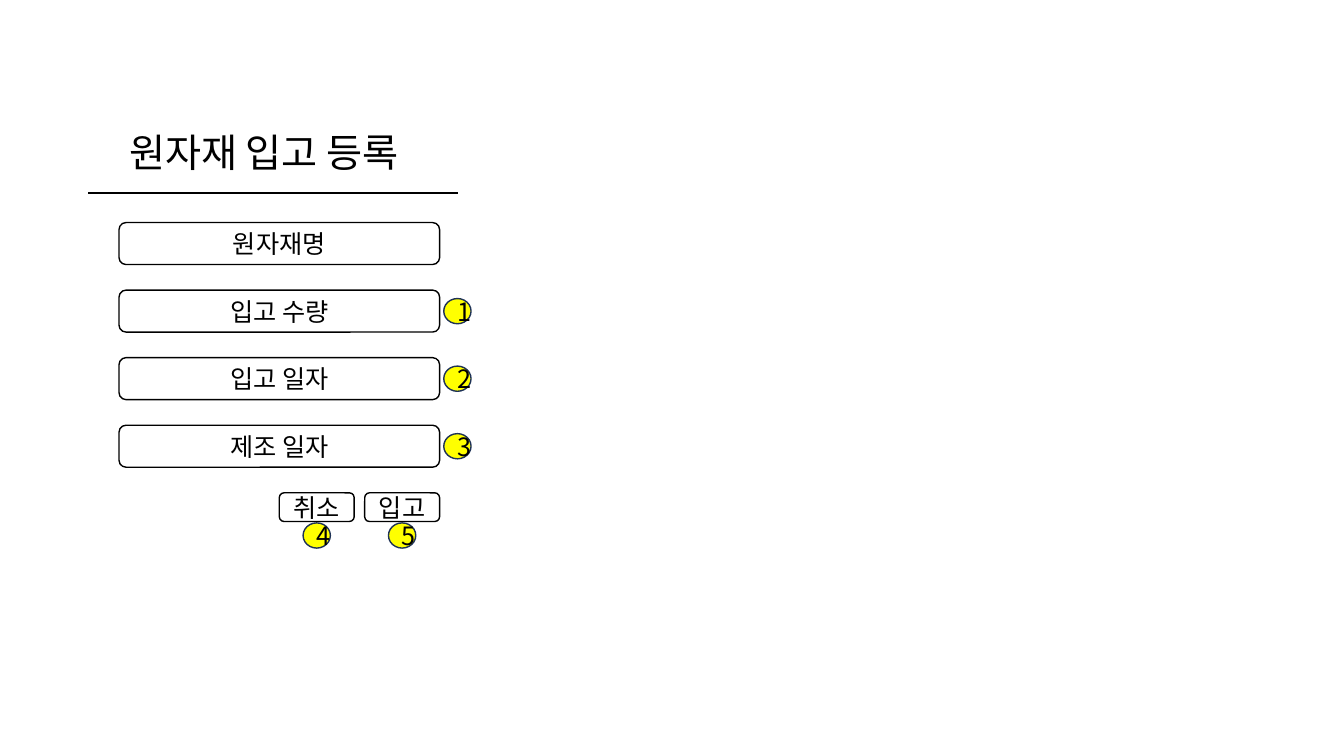
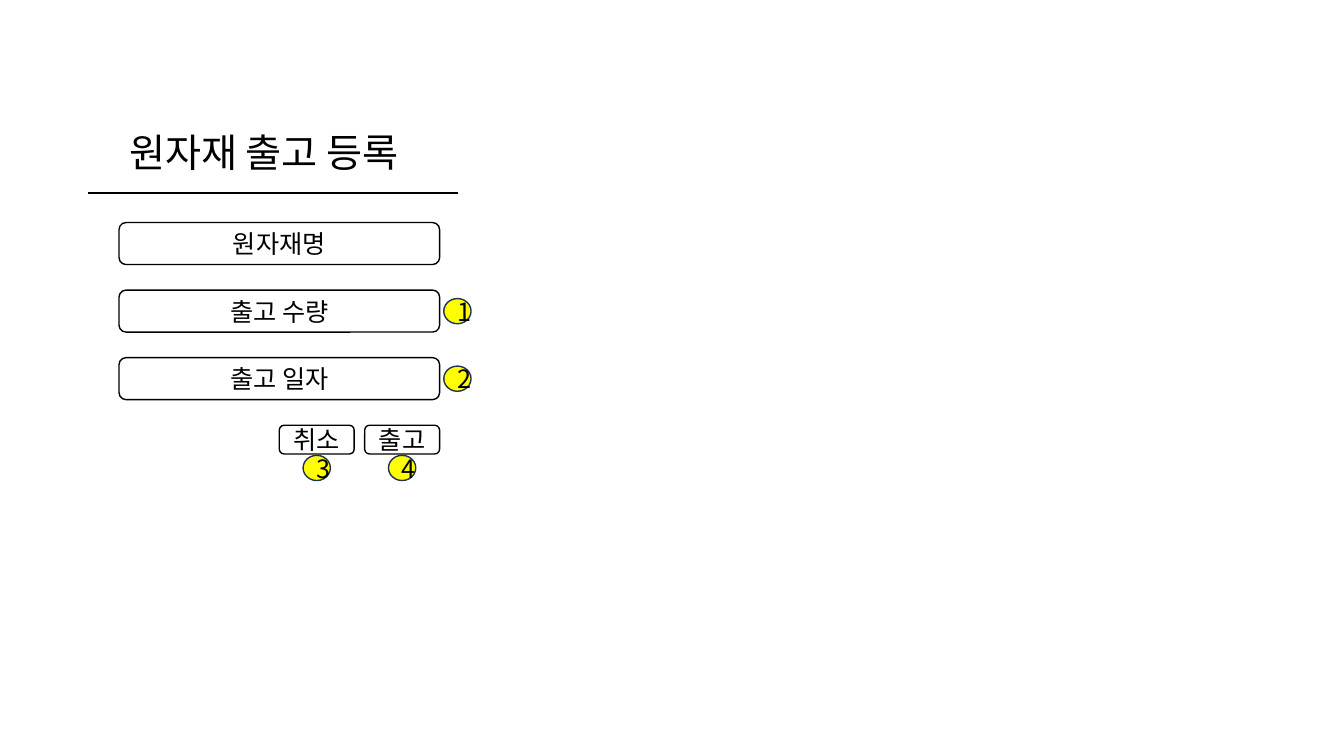
"""Build two mobile form wireframes: raw material receipt and release."""
import pptx
import pptx.util
import pptx.dml.color
import pptx.enum.shapes
import pptx.enum.text
import pptx.oxml
import pptx.oxml.ns
from dataclasses import dataclass

Pt = pptx.util.Pt
Kind = pptx.enum.shapes.MSO_SHAPE
Align = pptx.enum.text.PP_ALIGN

FORMS = [
    {"title": "원자재 입고 등록",
     "fields": ["원자재명", "입고 수량", "입고 일자", "제조 일자"],
     "buttons": ["취소", "입고"]},
    {"title": "원자재 출고 등록",
     "fields": ["원자재명", "출고 수량", "출고 일자"],
     "buttons": ["취소", "출고"]},
]


@dataclass(frozen=True)
class Theme:
    font: str = "Noto Sans CJK KR"
    ink: str = "000000"
    paper: str = "FFFFFF"
    mark: str = "FFFF00"
    edge: str = "1E3256"
    head: float = 28
    body: float = 18
    thin: float = 1
    rule: float = 1.5


THEME = Theme()
LEFT, TOP, STEP = 85, 159, 48.25
FIELD = (229, 30)
BUTTON = (53.5, 20.5)
BADGE = (19.5, 18)
GAP = 7.5
RIGHT = LEFT + FIELD[0]


def color(code):
    return pptx.dml.color.RGBColor.from_string(code)


def write(shape, text, size, align):
    shape.text_frame.text = text
    para = shape.text_frame.paragraphs[0]
    para.alignment = align
    font = para.runs[0].font
    font.name, font.size = THEME.font, Pt(size)
    font.color.rgb = color(THEME.ink)
    props = para.runs[0]._r.get_or_add_rPr()
    east = pptx.oxml.parse_xml(
        f'<a:ea {pptx.oxml.ns.nsdecls("a")} typeface="{THEME.font}"/>')
    props.find(pptx.oxml.ns.qn("a:latin")).addnext(east)


def add_box(slide, kind, left, top, size, text, fill, line):
    box = slide.shapes.add_shape(kind, Pt(left), Pt(top), *map(Pt, size))
    box.shadow.inherit = False
    box.fill.solid()
    box.fill.fore_color.rgb = color(fill)
    box.line.color.rgb = color(line)
    box.line.width = Pt(THEME.thin)
    write(box, text, THEME.body, Align.CENTER)


def add_panel(slide, left, top, size, text):
    add_box(slide, Kind.ROUNDED_RECTANGLE, left, top, size, text,
            THEME.paper, THEME.ink)


def add_badge(slide, left, top, number):
    add_box(slide, Kind.OVAL, left, top, BADGE, str(number),
            THEME.mark, THEME.edge)


def add_head(slide, text):
    title = slide.shapes.title
    title.left, title.top = Pt(LEFT), Pt(88)
    title.width, title.height = Pt(547), Pt(41)
    frame = title.text_frame
    frame.word_wrap = True
    frame.auto_size = pptx.enum.text.MSO_AUTO_SIZE.SHAPE_TO_FIT_TEXT
    frame.vertical_anchor = pptx.enum.text.MSO_ANCHOR.TOP
    write(title, text, THEME.head, Align.LEFT)
    rule = slide.shapes.add_connector(
        pptx.enum.shapes.MSO_CONNECTOR.STRAIGHT,
        Pt(63), Pt(138), Pt(327), Pt(138))
    rule.line.color.rgb = color(THEME.ink)
    rule.line.width = Pt(THEME.rule)
    rule._element.spPr.append(pptx.oxml.parse_xml(
        f'<a:effectLst {pptx.oxml.ns.nsdecls("a")}/>'))


def add_form(slide, form):
    add_head(slide, form["title"])
    fields, buttons = form["fields"], form["buttons"]
    for row, text in enumerate(fields):
        top = TOP + row * STEP
        add_panel(slide, LEFT, top, FIELD, text)
        if row:
            add_badge(slide, RIGHT + 3, top + (FIELD[1] - BADGE[1]) / 2, row)
    top = TOP + len(fields) * STEP
    start = RIGHT - len(buttons) * (BUTTON[0] + GAP) + GAP
    for col, text in enumerate(buttons):
        left = start + col * (BUTTON[0] + GAP)
        add_panel(slide, left, top, BUTTON, text)
        add_badge(slide, left + (BUTTON[0] - BADGE[0]) / 2,
                  top + BUTTON[1] + 1, len(fields) + col)


def main():
    deck = pptx.Presentation()
    deck.slide_width, deck.slide_height = Pt(960), Pt(540)
    layout = deck.slide_layouts.get_by_name("Title Only")
    for form in FORMS:
        add_form(deck.slides.add_slide(layout), form)
    deck.save("out.pptx")


if __name__ == "__main__":
    main()
